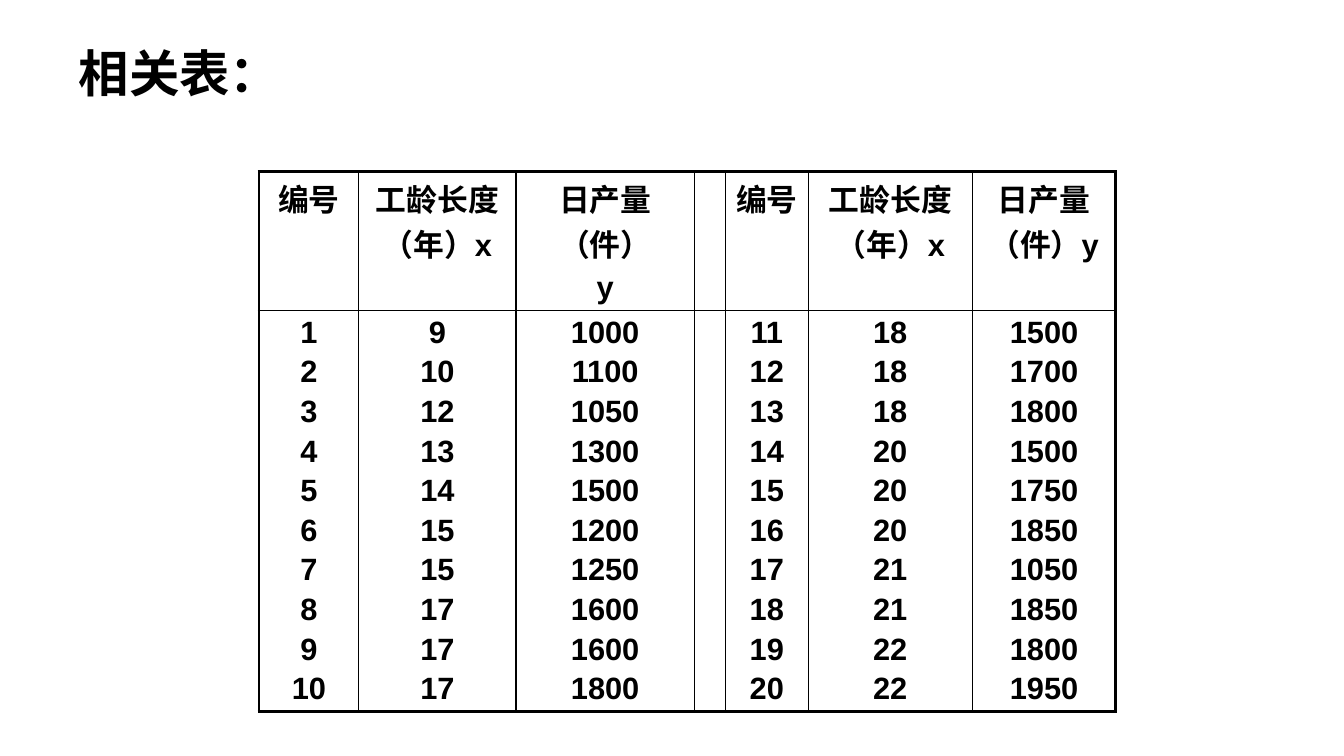
from dataclasses import dataclass

from lxml.etree import SubElement
from pptx import Presentation
from pptx.dml.color import RGBColor
from pptx.enum.text import MSO_ANCHOR, MSO_AUTO_SIZE, PP_ALIGN
from pptx.oxml.ns import qn
from pptx.util import Pt


@dataclass(frozen=True)
class Theme:
    ink: str = "000000"
    title_font: str = "Calibri"
    table_font: str = "Arial"
    title_size: float = 36
    table_size: float = 22
    frame_line: float = 2.25
    inner_line: float = 1


class SlideBuilder:
    def __init__(self, slide, theme):
        self.slide = slide
        self.theme = theme

    def format_paragraph(self, paragraph, font_name, size, **layout):
        """Apply the font, and paragraph settings given by attribute name."""
        font_values = {"name": font_name, "size": Pt(size), "bold": True}
        for target, values in ((paragraph, layout), (paragraph.font, font_values)):
            for name, value in values.items():
                setattr(target, name, value)
        paragraph.font.color.rgb = RGBColor.from_string(self.theme.ink)

    def add_title(self, text, left, top, width, height):
        title = self.slide.shapes.title
        box = {"left": left, "top": top, "width": width, "height": height}
        for name, value in box.items():
            setattr(title, name, Pt(value))
        frame = title.text_frame
        frame.text = text
        frame.auto_size = MSO_AUTO_SIZE.NONE
        frame.vertical_anchor = MSO_ANCHOR.MIDDLE
        self.format_paragraph(frame.paragraphs[0], self.theme.title_font,
                              self.theme.title_size,
                              alignment=PP_ALIGN.LEFT, line_spacing=0.9)

    def add_borders(self, cell, outer_sides):
        """Draw all four borders, with the frame line on the outer sides."""
        properties = cell._tc.get_or_add_tcPr()
        for side in "LRTB":
            width = (self.theme.frame_line if side in outer_sides
                     else self.theme.inner_line)
            line = SubElement(properties, qn(f"a:ln{side}"), w=str(Pt(width)))
            fill = SubElement(line, qn("a:solidFill"))
            SubElement(fill, qn("a:srgbClr"), val=self.theme.ink)

    def fill_cell(self, cell, lines):
        cell.text = "\n".join(lines)
        for index, paragraph in enumerate(cell.text_frame.paragraphs):
            self.format_paragraph(paragraph, self.theme.table_font,
                                  self.theme.table_size,
                                  alignment=PP_ALIGN.CENTER,
                                  space_before=Pt(3.7 if index else 0))

    def add_table(self, rows, left, top, height, column_widths, row_heights):
        """Add a table; each cell is a list of lines."""
        frame = self.slide.shapes.add_table(
            len(rows), len(column_widths), Pt(left), Pt(top),
            Pt(sum(column_widths)), Pt(height))
        table = frame.table
        table.first_row = table.horz_banding = False
        for column, width in zip(table.columns, column_widths):
            column.width = Pt(width)
        for row, row_height in zip(table.rows, row_heights):
            row.height = Pt(row_height)
        frame.height = Pt(height)

        last_row, last_column = len(rows) - 1, len(column_widths) - 1
        for row_index, row in enumerate(rows):
            for column_index, lines in enumerate(row):
                cell = table.cell(row_index, column_index)
                outer = {"L": column_index == 0, "R": column_index == last_column,
                         "T": row_index == 0, "B": row_index == last_row}
                self.add_borders(cell, [side for side in outer if outer[side]])
                cell.fill.background()
                if lines:
                    self.fill_cell(cell, lines)


YEARS = [9, 10, 12, 13, 14, 15, 15, 17, 17, 17,
         18, 18, 18, 20, 20, 20, 21, 21, 22, 22]
OUTPUT = [1000, 1100, 1050, 1300, 1500, 1200, 1250, 1600, 1600, 1800,
          1500, 1700, 1800, 1500, 1750, 1850, 1050, 1850, 1800, 1950]
HALF = len(YEARS) // 2


def worker_columns(start):
    """Return number, years and output columns for one half of the workers."""
    numbers = range(1, len(YEARS) + 1)
    return [[str(value) for value in series[start:start + HALF]]
            for series in (numbers, YEARS, OUTPUT)]


def main():
    presentation = Presentation()
    presentation.slide_width, presentation.slide_height = Pt(960), Pt(540)
    slide = presentation.slides.add_slide(presentation.slide_layouts[5])
    builder = SlideBuilder(slide, Theme())

    builder.add_title("相关表：", left=49, top=18.7, width=612, height=72)

    number_and_years = [["编号"], ["工龄长度（年）x"]]
    header = [*number_and_years, ["日产量（件）", "y"], [],
              *number_and_years, ["日产量（件）y"]]
    body = [*worker_columns(0), [], *worker_columns(HALF)]
    builder.add_table([header, body], left=185, top=122.4, height=384,
                      column_widths=[71.3, 112.3, 127.4, 22.3, 59, 117.4, 102.3],
                      row_heights=[54, 269.3])

    presentation.save("out.pptx")


if __name__ == "__main__":
    main()
